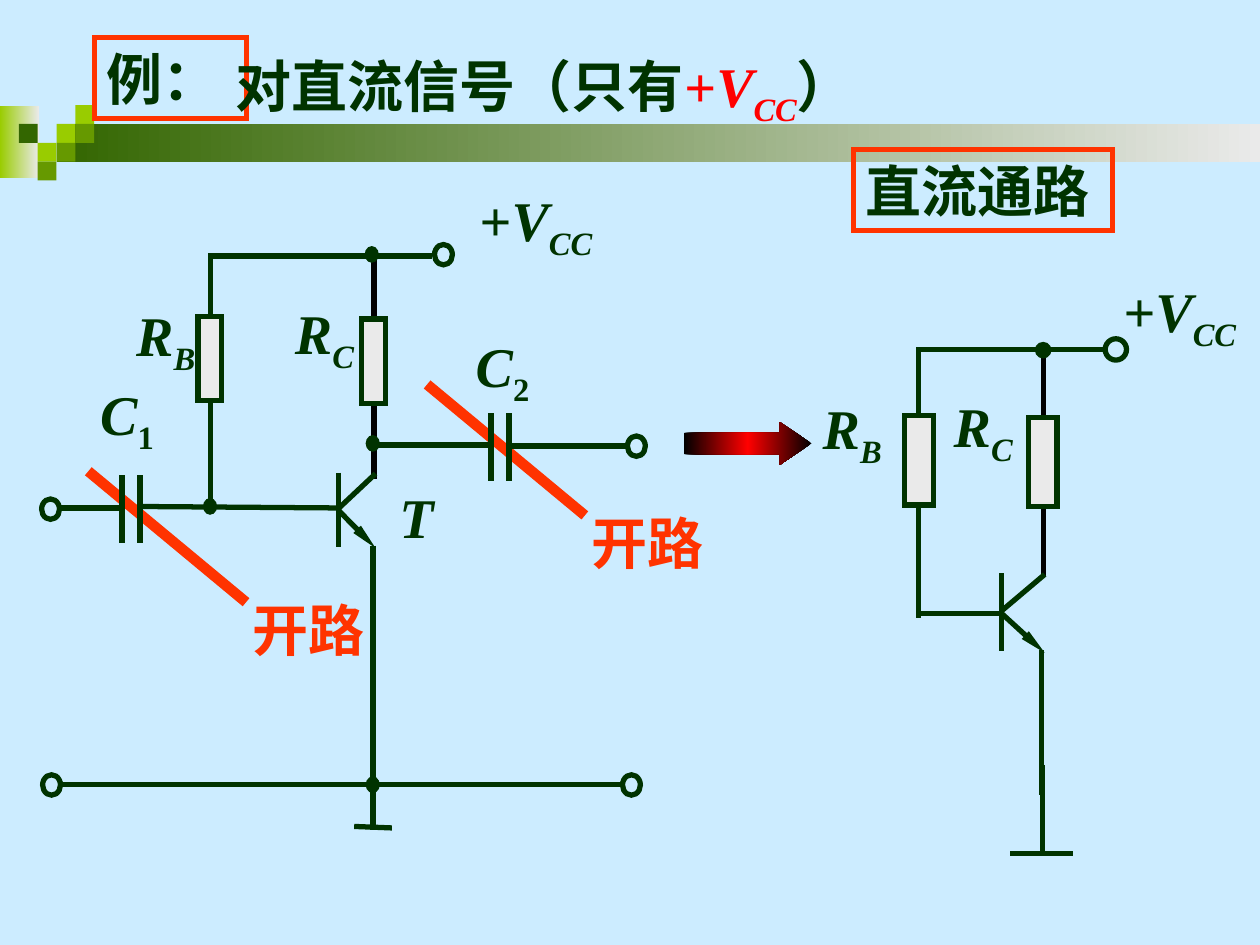
from typing import NamedTuple

import lxml.etree
import pptx
import pptx.dml.color
import pptx.enum.shapes
import pptx.enum.text
import pptx.oxml.ns
import pptx.util

Cm = pptx.util.Cm
qn = pptx.oxml.ns.qn
SHAPE = pptx.enum.shapes.MSO_SHAPE
ALIGN = pptx.enum.text.PP_ALIGN

COLOURS = {"sky": "CCECFF", "ink": "003300", "black": "000000", "mark": "FF3300",
           "red": "FF0000", "grey": "EAEAEA", "lime": "99CC00", "leaf": "669900",
           "forest": "336600"}


class Box(NamedTuple):
    left: float
    top: float
    width: float
    height: float


class Wire(NamedTuple):
    x1: float
    y1: float
    x2: float
    y2: float
    colour: str = "ink"


class Run(NamedTuple):
    text: str
    colour: str = "ink"
    italic: bool = False
    subscript: bool = False


class Label(NamedTuple):
    box: Box
    runs: list
    align: int = ALIGN.CENTER


def rgb(name: str) -> pptx.dml.color.RGBColor:
    return pptx.dml.color.RGBColor.from_string(COLOURS[name])


def write(shape, runs: list, align=ALIGN.LEFT, wrap: bool = True) -> None:
    frame = shape.text_frame
    frame.word_wrap = wrap
    frame.auto_size = pptx.enum.text.MSO_AUTO_SIZE.SHAPE_TO_FIT_TEXT
    frame.vertical_anchor = pptx.enum.text.MSO_ANCHOR.MIDDLE
    paragraph = frame.paragraphs[0]
    paragraph.alignment = align
    for item in runs:
        run = paragraph.add_run()
        run.text = item.text
        run.font.name = "Times New Roman"
        run.font.size = pptx.util.Pt(32)
        run.font.bold = True
        run.font.italic = item.italic
        run.font.color.rgb = rgb(item.colour)
        if item.subscript:
            run._r.get_or_add_rPr().set("baseline", "-25000")


def draw_shape(slide, kind, box: Box, fill: tuple = (), line: str = "", width: float = 3):
    """Draw a preset shape; several fill colours make a left-to-right gradient."""
    shape = slide.shapes.add_shape(kind, *map(Cm, box))
    shape.shadow.inherit = False
    if len(fill) > 1:
        shape.fill.gradient()
        shape.fill.gradient_angle = 0
        stops = shape._element.spPr.find(".//" + qn("a:gsLst"))
        for stop in list(stops):
            stops.remove(stop)
        for index, name in enumerate(fill):
            position = str(100000 * index // (len(fill) - 1))
            stop = lxml.etree.SubElement(stops, qn("a:gs"), pos=position)
            lxml.etree.SubElement(stop, qn("a:srgbClr"), val=COLOURS[name])
    elif fill:
        shape.fill.solid()
        shape.fill.fore_color.rgb = rgb(fill[0])
    else:
        shape.fill.background()
    if line:
        shape.line.color.rgb = rgb(line)
        shape.line.width = pptx.util.Pt(width)
        outline = shape._element.spPr.find(qn("a:ln"))
        lxml.etree.SubElement(outline, qn("a:miter"), lim="800000")
    else:
        shape.line.fill.background()
    return shape


def draw_wire(slide, wire: Wire, width: float = 3, arrow: bool = False) -> None:
    connector = slide.shapes.add_connector(
        pptx.enum.shapes.MSO_CONNECTOR.STRAIGHT, *map(Cm, wire[:4]))
    connector.line.color.rgb = rgb(wire.colour)
    connector.line.width = pptx.util.Pt(width)
    properties = connector._element.spPr
    if arrow:
        lxml.etree.SubElement(properties.find(qn("a:ln")), qn("a:tailEnd"),
                              type="triangle", w="sm", len="lg")
    lxml.etree.SubElement(properties, qn("a:effectLst"))


def draw_label(slide, label: Label, wrap: bool = False) -> None:
    write(slide.shapes.add_textbox(*map(Cm, label.box)), label.runs, label.align, wrap)


def draw_open_circuit(slide, x: float, y: float) -> None:
    draw_wire(slide, Wire(x, y, x + 3.18, y + 2.64, "mark"), width=6)
    draw_label(slide, Label(Box(x + 2.54, y + 2.36, 3.81, 1.63), [Run("开路", "mark")]), True)


def draw_capacitor(slide, x: float, y: float) -> None:
    for plate in (x, x + 0.36):
        draw_wire(slide, Wire(plate, y, plate, y + 1.37))


def draw_transistor(slide, x: float, top: float, bottom: float, reach: float) -> None:
    middle = (top + bottom) / 2
    draw_wire(slide, Wire(x, top, x, bottom))
    draw_wire(slide, Wire(x, middle + 0.02, x + reach, bottom + 0.03), arrow=True)
    draw_wire(slide, Wire(x, middle - 0.03, x + reach, top + 0.02))


def symbol(x: float, y: float, name: str, index: str) -> Label:
    runs = [Run(name, italic=True), Run(index, italic=index.isalpha(), subscript=True)]
    return Label(Box(x, y, 1.7, 1.8), runs)


def supply_runs(colour: str) -> list:
    return [Run("+", colour), Run("V", colour, True), Run("CC", colour, True, True)]


def supply(x: float, y: float) -> Label:
    return Label(Box(x, y, 2.77, 1.8), supply_runs("ink"), ALIGN.LEFT)


# Grid cells (column, row) of the corner ornament
CELL = 0.38
ORNAMENT = [(3, 1, "lime"), (4, 0, "lime"), (4, 1, "leaf"), (2, 2, "lime"),
            (1, 1, "forest"), (3, 2, "leaf"), (2, 3, "leaf")]

WIRES = [
    # Full amplifier
    Wire(7.54, 5.13, 7.54, 9.65, "black"), Wire(4.24, 10.31, 4.24, 5.11),
    Wire(4.24, 5.16, 7.49, 5.16), Wire(7.49, 5.16, 8.71, 5.16),
    Wire(2.79, 10.21, 6.88, 10.24), Wire(1.22, 10.24, 2.41, 10.24),
    Wire(7.52, 11, 7.52, 16.74), Wire(7.14, 16.66, 7.9, 16.69),
    Wire(1.24, 15.82, 3.33, 15.82), Wire(3.3, 15.82, 10.16, 15.82),
    Wire(7.14, 15.82, 12.57, 15.82),
    Wire(12.65, 8.99, 10.24, 8.99), Wire(7.52, 8.97, 9.91, 8.97),
    # Direct-current path
    Wire(18.52, 7.04, 18.52, 12.45), Wire(18.47, 7.04, 22.28, 7.04),
    Wire(21, 13.11, 21, 16.03), Wire(21.02, 15.42, 21.02, 17.2),
    Wire(20.37, 17.2, 21.64, 17.2), Wire(18.49, 12.37, 20.22, 12.37),
    Wire(21.03, 7.14, 21.03, 11.63, "black"),
]
RESISTORS = [Box(3.99, 6.38, 0.48, 1.7), Box(7.29, 6.43, 0.48, 1.7),
             Box(18.24, 8.38, 0.58, 1.8), Box(20.73, 8.41, 0.58, 1.8)]
TERMINALS = [Box(x, y, 0.36, 0.41) for x, y in
             [(8.76, 4.93), (0.84, 10.06), (0.86, 15.62), (12.65, 8.79), (12.55, 15.62)]]
TERMINALS.append(Box(22.28, 6.83, 0.43, 0.43))
NODES = [Box(x, y, 0.25, 0.3) for x, y in
         [(7.37, 4.98), (4.11, 10.06), (7.39, 8.79), (7.39, 15.67)]]
NODES.append(Box(20.88, 6.91, 0.3, 0.3))
LABELS = [
    symbol(2.49, 5.92, "R", "B"), symbol(5.69, 5.89, "R", "C"),
    symbol(1.71, 7.52, "C", "1"), symbol(9.28, 6.55, "C", "2"),
    Label(Box(7.8, 9.58, 1.19, 1.63), [Run("T", italic=True)]), supply(9.42, 3.61),
    symbol(16.33, 7.8, "R", "B"), symbol(18.97, 7.77, "R", "C"), supply(22.4, 5.44),
]
FRAMED = [Label(Box(1.9, 0.76, 3.07, 1.63), [Run("例：")]),
          Label(Box(17.2, 3.02, 5.23, 1.63), [Run("直流通路")])]


def main() -> None:
    presentation = pptx.Presentation()
    presentation.slide_width, presentation.slide_height = Cm(25.4), Cm(19.05)
    slide = presentation.slides.add_slide(presentation.slide_layouts[5])
    slide.background.fill.solid()
    slide.background.fill.fore_color.rgb = rgb("sky")

    # Ornament band
    draw_shape(slide, SHAPE.RECTANGLE, Box(0, 2.13, 0.79, 1.47), ("lime", "grey"))
    draw_shape(slide, SHAPE.RECTANGLE, Box(1.14, 2.5, 24.26, 0.76), ("forest", "grey"))
    for column, row, colour in ORNAMENT:
        cell = Box(column * CELL, 2.12 + row * CELL, CELL, CELL)
        draw_shape(slide, SHAPE.RECTANGLE, cell, (colour,))

    # Headings
    for label in FRAMED:
        write(draw_shape(slide, SHAPE.RECTANGLE, label.box, line="mark"), label.runs)
    title = slide.shapes.title
    title.left, title.top, title.width, title.height = map(Cm, (4.5, 0.91, 14.5, 1.8))
    write(title, [Run("对直流信号（只有"), *supply_runs("red"), Run("）")])
    slide.shapes._spTree.append(title._element)  # in front of the band

    # Circuits
    draw_open_circuit(slide, 1.78, 9.5)
    draw_open_circuit(slide, 8.61, 7.75)
    for wire in WIRES:
        draw_wire(slide, wire)
    draw_capacitor(slide, 2.46, 9.58)
    draw_capacitor(slide, 9.9, 8.33)
    draw_transistor(slide, 6.83, 9.53, 11.02, 0.74)
    draw_transistor(slide, 20.19, 11.56, 13.13, 0.87)
    for box in RESISTORS:
        draw_shape(slide, SHAPE.RECTANGLE, box, ("grey",), "ink")
    for box in TERMINALS:
        draw_shape(slide, SHAPE.OVAL, box, line="ink")
    for box in NODES:
        draw_shape(slide, SHAPE.OVAL, box, ("ink",), "ink", 1)
    for label in LABELS:
        draw_label(slide, label)

    # Arrow between the circuits
    arrow = draw_shape(slide, SHAPE.RIGHT_ARROW, Box(13.79, 8.51, 2.57, 0.86),
                       ("black", "red", "black"))
    arrow.adjustments[1] = 0.74

    presentation.save("out.pptx")


if __name__ == "__main__":
    main()
